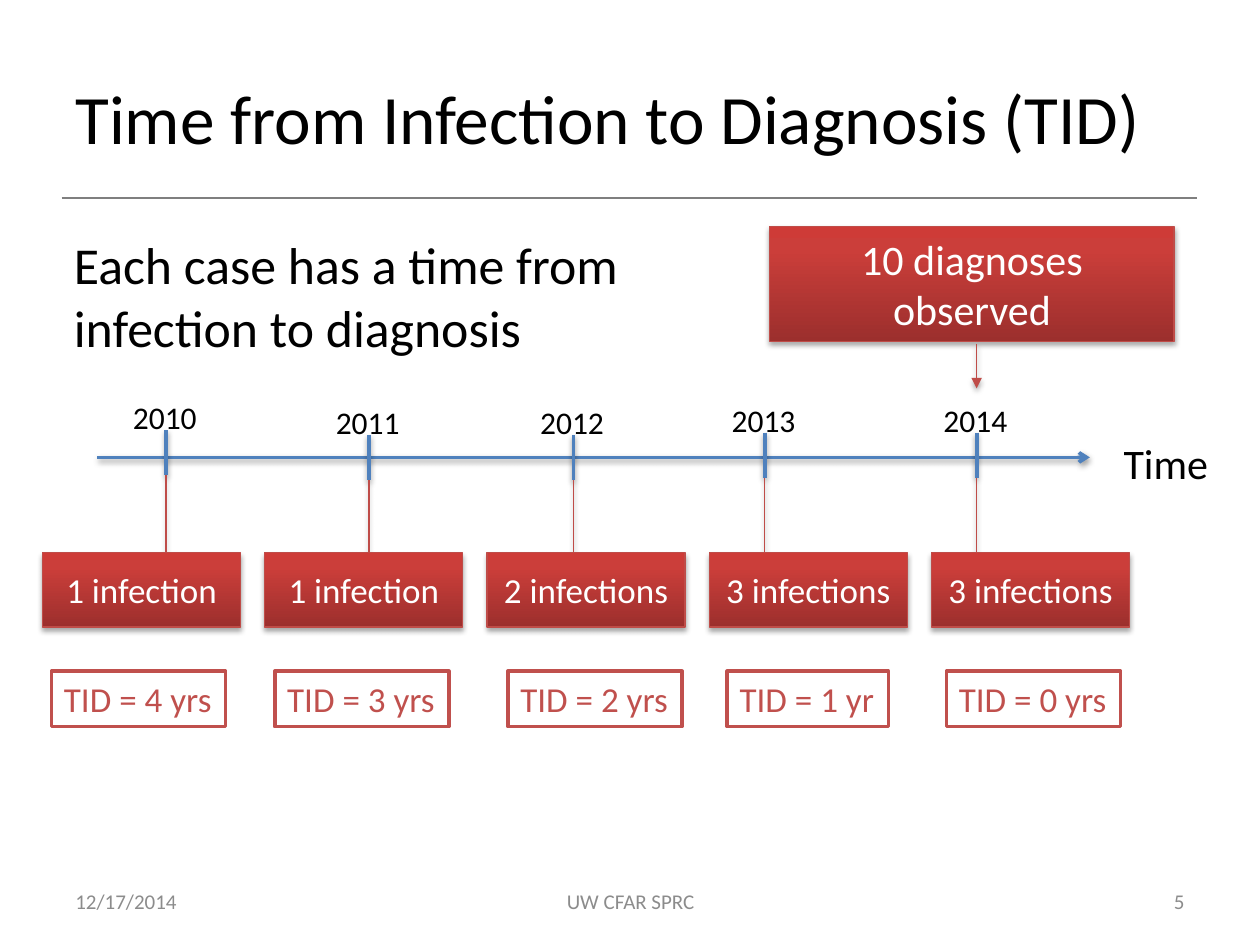
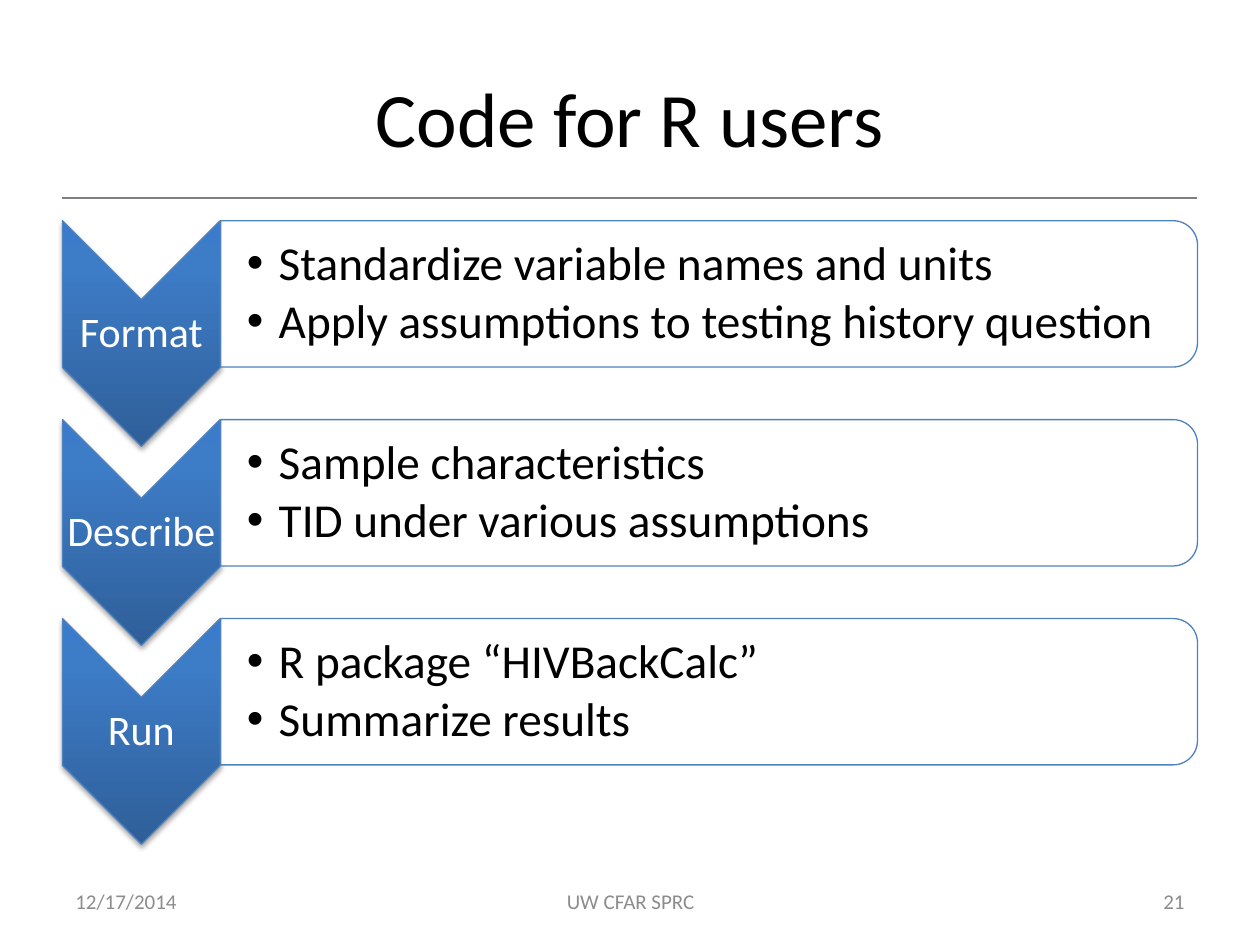
from copy import deepcopy
from dataclasses import dataclass
from typing import Any, Optional

from pptx import Presentation
from pptx import util as u
from pptx.dml.color import RGBColor
from pptx.enum import shapes, text
from pptx.oxml.ns import qn
from lxml import etree

FONT = "Calibri"
BLACK, WHITE, GREY, RULE = "000000", "FFFFFF", "8C8C8C", "7F7F7F"
BLUE, RED, RED_EDGE = "4F81BD", "C0504D", "BF4C48"
RED_STOPS = ("9C2F2D", "CB3E3A", "CE3B37")
BLUE_STOPS = ("2F5F99", "3D7CC7", "3A7CCB")
STOP_PLACES = (0, 0.8, 1)
LEFT, CENTER, RIGHT = text.PP_ALIGN.LEFT, text.PP_ALIGN.CENTER, text.PP_ALIGN.RIGHT
TOP, MIDDLE = text.MSO_ANCHOR.TOP, text.MSO_ANCHOR.MIDDLE


@dataclass(frozen=True)
class Area:
    left: float
    top: float
    width: float
    height: float

    def lengths(self) -> tuple:
        return tuple(u.Cm(n) for n in (self.left, self.top, self.width, self.height))

    def turned(self) -> "Area":
        shift = (self.width - self.height) / 2
        return Area(self.left + shift, self.top - shift, self.height, self.width)


@dataclass(frozen=True)
class Style:
    size: float
    color: str = BLACK
    align: Any = LEFT
    anchor: Any = TOP
    wrap: bool = True
    insets: tuple = (0.25, 0.13, 0.25, 0.13)
    line_spacing: Optional[float] = None
    space_after: float = 0
    bullet: bool = False


@dataclass(frozen=True)
class Year:
    name: str
    tick: float
    label_top: float
    infections: str
    delay: str
    delay_left: float
    delay_width: float = 3.51


@dataclass(frozen=True)
class Step:
    name: str
    points: tuple


YEARS = (
    Year("2010", 3.35, 7.9, "1 infection", "TID = 4 yrs", 1.04),
    Year("2011", 7.44, 8, "1 infection", "TID = 3 yrs", 5.54),
    Year("2012", 11.56, 8, "2 infections", "TID = 2 yrs", 10.24),
    Year("2013", 15.42, 7.95, "3 infections", "TID = 1 yr", 14.66, 3.25),
    Year("2014", 19.69, 7.95, "3 infections", "TID = 0 yrs", 19.08),
)
STEPS = (
    Step("Format", ("Standardize variable names and units",
                    "Apply assumptions to testing history question")),
    Step("Describe", ("Sample characteristics", "TID under various assumptions")),
    Step("Run", ("R package “HIVBackCalc”", "Summarize results")),
)
TIGHT = (0.04, 0.04, 0.04, 0.04)
CALLOUT_STYLE = Style(20, WHITE, CENTER, MIDDLE)
STEP_STYLE = Style(24, WHITE, CENTER, MIDDLE, insets=TIGHT, line_spacing=0.9)
POINT_STYLE = Style(27, anchor=MIDDLE, insets=(0.53, 0.04, 0.04, 0.04),
                    line_spacing=0.9, space_after=4, bullet=True)


def rgb(color: str) -> RGBColor:
    return RGBColor.from_string(color)


def write(shape: Any, lines: tuple, style: Style) -> None:
    frame = shape.text_frame
    frame.word_wrap = style.wrap
    frame.vertical_anchor = style.anchor
    (frame.margin_left, frame.margin_top,
     frame.margin_right, frame.margin_bottom) = (u.Cm(n) for n in style.insets)
    for number, line in enumerate(lines):
        para = frame.add_paragraph() if number else frame.paragraphs[0]
        para.alignment = style.align
        para.line_spacing = style.line_spacing
        para.space_after = u.Pt(style.space_after)
        if style.bullet:
            properties = para._p.get_or_add_pPr()
            properties.set("marL", str(u.Cm(0.64)))
            properties.set("indent", str(-u.Cm(0.64)))
            etree.SubElement(properties, qn("a:buFont"), typeface="Arial")
            etree.SubElement(properties, qn("a:buChar"), char="•")
        span = para.add_run()
        span.text = line
        span.font.name = FONT
        span.font.size = u.Pt(style.size)
        span.font.color.rgb = rgb(style.color)


def add_text(page: Any, area: Area, lines: tuple, style: Style) -> None:
    write(page.shapes.add_textbox(*area.lengths()), lines, style)


def set_effects(shape: Any, opacity: int = 0, distance: float = 0) -> None:
    properties = shape.element.spPr
    effects = properties.find(qn("a:effectLst"))
    if effects is None:
        effects = etree.SubElement(properties, qn("a:effectLst"))
    if opacity:
        shadow = etree.SubElement(
            effects, qn("a:outerShdw"), blurRad=str(u.Pt(3.1)),
            dist=str(u.Pt(distance)), dir="5400000", rotWithShape="0")
        color = etree.SubElement(shadow, qn("a:srgbClr"), val=BLACK)
        etree.SubElement(color, qn("a:alpha"), val=str(opacity * 1000))


def add_arrowhead(shape: Any, kind: str) -> None:
    etree.SubElement(shape.element.spPr.find(qn("a:ln")), qn("a:tailEnd"), type=kind)


def add_line(page: Any, start: tuple, end: tuple, color: str, width: float) -> Any:
    ends = (u.Cm(n) for n in start + end)
    line = page.shapes.add_connector(shapes.MSO_CONNECTOR.STRAIGHT, *ends)
    line.line.color.rgb = rgb(color)
    line.line.width = u.Pt(width)
    return line


def add_timeline_line(page: Any, start: tuple, end: tuple) -> Any:
    line = add_line(page, start, end, BLUE, 2)
    set_effects(line, 38, 1.6)
    return line


def add_box(page: Any, kind: Any, area: Area, edge: str, width: float = 0.75) -> Any:
    box = page.shapes.add_shape(kind, *area.lengths())
    box.shadow.inherit = False
    box.fill.solid()
    box.fill.fore_color.rgb = rgb(WHITE)
    box.line.color.rgb = rgb(edge)
    box.line.width = u.Pt(width)
    return box


def shade(box: Any, colors: tuple, angle: int) -> None:
    box.fill.gradient()
    box.fill.gradient_angle = angle
    stop_list = box.element.spPr.find(qn("a:gradFill")).find(qn("a:gsLst"))
    stop_list.append(deepcopy(stop_list[0]))
    for stop, color, place in zip(box.fill.gradient_stops, colors, STOP_PLACES):
        stop.color.rgb = rgb(color)
        stop.position = place
    set_effects(box, 35, 1.8)


def add_callout(page: Any, area: Area, words: str, style: Style,
                start: tuple, end: tuple) -> Any:
    box = add_box(page, shapes.MSO_SHAPE.LINE_CALLOUT_1, area, RED_EDGE)
    shade(box, RED_STOPS, 90)
    for number, (x, y) in enumerate((start, end)):
        box.adjustments[2 * number] = (y - area.top) / area.height
        box.adjustments[2 * number + 1] = (x - area.left) / area.width
    write(box, (words,), style)
    return box


def add_page(deck: Any, title: str, title_style: Style, number: str) -> Any:
    page = deck.slides.add_slide(deck.slide_layouts[6])
    set_effects(add_line(page, (1.24, 3.99), (24.13, 3.99), RULE, 0.75))
    add_text(page, Area(1.27, 0.76, 22.86, 3.18), (title,), title_style)
    footers = (("12/17/2014", 1.27, 5.92, LEFT), ("UW CFAR SPRC", 8.69, 8.05, CENTER),
               (number, 18.21, 5.92, RIGHT))
    for words, left, width, align in footers:
        add_text(page, Area(left, 17.65, width, 1.02), (words,),
                 Style(12, GREY, align, MIDDLE))
    return page


def add_year(page: Any, year: Year, left: float) -> None:
    tick_top = year.label_top + 0.77
    tick_bottom = tick_top + 0.91
    add_timeline_line(page, (year.tick, tick_top), (year.tick, tick_bottom))
    add_text(page, Area(year.tick - 0.92, year.label_top, 1.8, 0.76), (year.name,),
             Style(18, wrap=False))
    area = Area(left, 11.14, 3.99, 1.5)
    add_callout(page, area, year.infections, CALLOUT_STYLE,
                (year.tick, area.top), (year.tick, tick_bottom))
    delay = add_box(page, shapes.MSO_SHAPE.RECTANGLE,
                    Area(year.delay_left, 13.53, year.delay_width, 1.12), RED, 2)
    write(delay, (year.delay,), Style(20, RED, wrap=False))


def build_timeline(deck: Any) -> None:
    page = add_page(deck, "Time from Infection to Diagnosis (TID)",
                    Style(39.6, anchor=MIDDLE), "5")
    add_text(page, Area(1.24, 4.57, 11.76, 2.82),
             ("Each case has a time from infection to diagnosis",), Style(29.6))
    add_arrowhead(add_timeline_line(page, (1.96, 9.22), (21.97, 9.22)), "arrow")
    add_text(page, Area(22.4, 8.69, 2.24, 0.94), ("Time",), Style(24, wrap=False))
    observed = add_callout(page, Area(15.52, 4.57, 8.15, 2.31), "10 diagnoses observed",
                           Style(24, WHITE, CENTER, MIDDLE), (19.69, 6.93), (19.69, 7.83))
    add_arrowhead(observed, "triangle")
    for number, year in enumerate(YEARS):
        add_year(page, year, 0.86 + 4.48 * number)


def add_step(page: Any, step: Step, top: float) -> None:
    chevron = add_box(page, shapes.MSO_SHAPE.CHEVRON,
                      Area(1.26, top, 3.18, 4.55).turned(), BLUE)
    chevron.rotation = 90
    shade(chevron, BLUE_STOPS, 180)
    add_text(page, Area(1.26, top + 1.6, 3.18, 1.37), (step.name,), STEP_STYLE)
    panel = add_box(page, shapes.MSO_SHAPE.ROUND_2_SAME_RECTANGLE,
                    Area(4.45, top, 19.69, 2.95).turned(), BLUE)
    panel.rotation = 90
    add_text(page, Area(4.45, top + 0.14, 19.53, 2.67), step.points, POINT_STYLE)


def build_steps(deck: Any) -> None:
    page = add_page(deck, "Code for R users",
                    Style(44, align=CENTER, anchor=MIDDLE), "21")
    for number, step in enumerate(STEPS):
        add_step(page, step, 4.45 + 4.01 * number)


def main() -> None:
    deck = Presentation()
    deck.slide_width, deck.slide_height = u.Cm(25.4), u.Cm(19.05)
    build_timeline(deck)
    build_steps(deck)
    deck.save("out.pptx")


if __name__ == "__main__":
    main()
